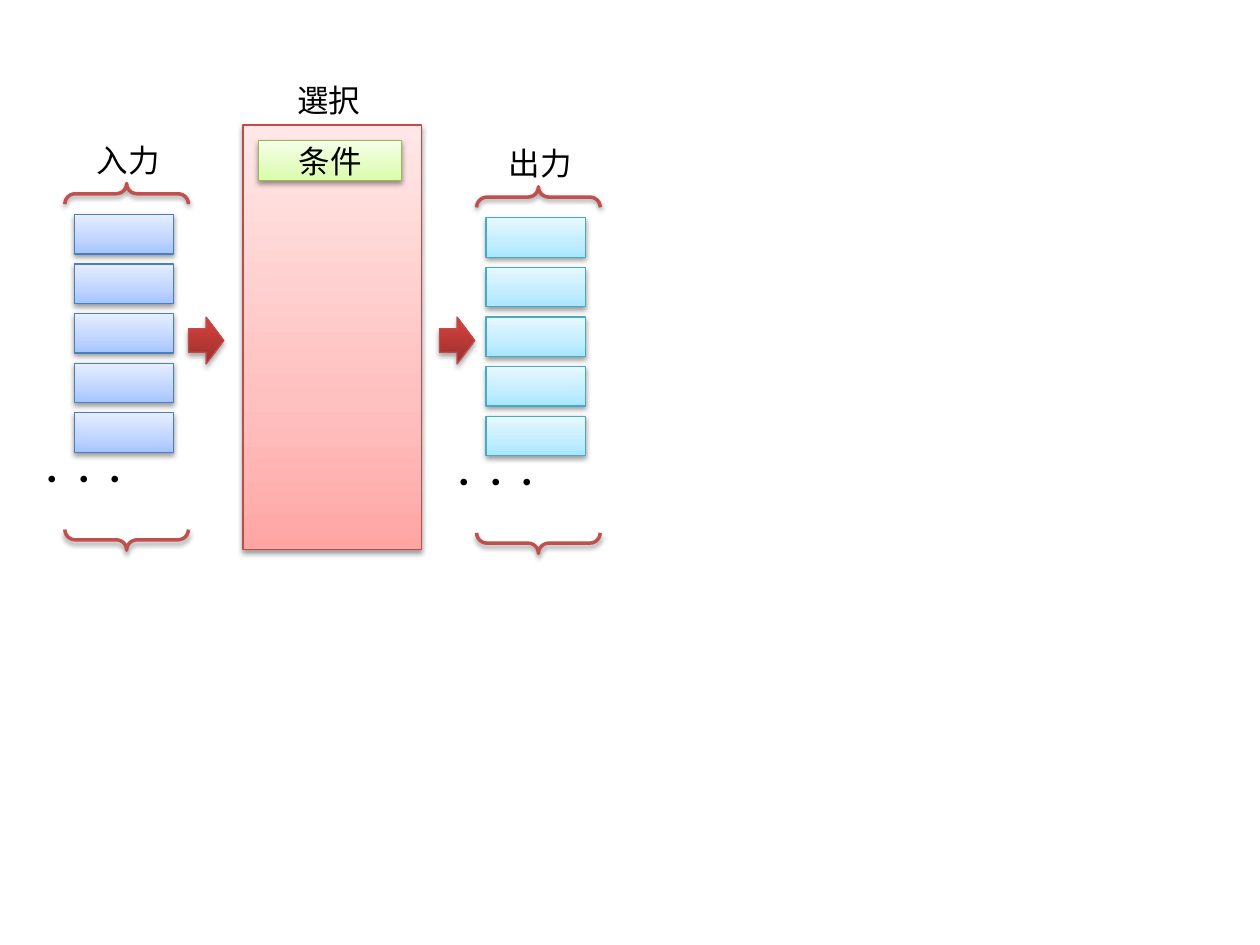
"""Builds a slide of rows that pass through a selection with a condition."""
import copy

import pptx
import pptx.dml.color
import pptx.enum.shapes
import pptx.enum.text
import pptx.oxml
import pptx.oxml.ns
import pptx.util

Pt = pptx.util.Pt
KIND = pptx.enum.shapes.MSO_SHAPE
INK = {
    "text": "000000",
    "brace": "C0504D",
    "blue": ("4B7EBC", "A4C4FF", "BFD4FF", "E6EEFF"),
    "cyan": ("46AAC5", "A7E6FF", "C1EDFF", "E7F8FF"),
    "pink": ("BF4C48", "FFA6A5", "FFC0BF", "FFE7E7"),
    "green": ("98B955", "DAFDA7", "E4FCC2", "F5FFE7"),
    "red": ("BF4C48", "9C2F2D", "CB3E3A", "CE3B37"),
}
ROWS = 5
STEP = 28.35


def tint(name):
    return pptx.dml.color.RGBColor.from_string(name)


def shade(shape, alpha=38, dist=1.6):
    shape.shadow.inherit = False
    glow = shape._element.spPr.find(pptx.oxml.ns.qn("a:effectLst"))
    glow.append(pptx.oxml.parse_xml(
        f'<a:outerShdw {pptx.oxml.ns.nsdecls("a")} blurRad="{Pt(3.1)}" '
        f'dist="{Pt(dist)}" dir="5400000" rotWithShape="0">'
        f'<a:srgbClr val="{INK["text"]}"><a:alpha val="{alpha * 1000}"/>'
        '</a:srgbClr></a:outerShdw>'))


def write(frame, text, font="Arial"):
    para = frame.paragraphs[0]
    para.text = text
    para.font.name = font
    para.font.size = Pt(18)
    para.font.color.rgb = tint(INK["text"])
    return para


def add_box(slide, kind, spot, hue, mid=0.35):
    box = slide.shapes.add_shape(kind, *map(Pt, spot))
    edge, *tones = INK[hue]
    box.fill.gradient()
    box.fill.gradient_angle = 90
    stops = box._element.spPr.find(".//" + pptx.oxml.ns.qn("a:gsLst"))
    stops.append(copy.deepcopy(stops[-1]))
    for stop, place, tone in zip(box.fill.gradient_stops, (0, mid, 1), tones):
        stop.position = place
        stop.color.rgb = tint(tone)
    box.line.color.rgb = tint(edge)
    box.line.width = Pt(0.75)
    return box


def add_brace(slide, spot):
    brace = slide.shapes.add_shape(KIND.DOUBLE_BRACE, *map(Pt, spot))
    brace.rotation = 90
    brace.fill.background()
    brace.line.color.rgb = tint(INK["brace"])
    brace.line.width = Pt(2)
    shade(brace)


def add_label(slide, text, spot):
    frame = slide.shapes.add_textbox(*map(Pt, spot)).text_frame
    frame.word_wrap = False
    frame.auto_size = pptx.enum.text.MSO_AUTO_SIZE.SHAPE_TO_FIT_TEXT
    write(frame, text)


def add_stack(slide, title, hue, left, top):
    add_brace(slide, (left - 74.9, top + 51.8, 209.5, 70.6))
    add_label(slide, title, (left + 5.8, top - 45.5, 51, 29))
    for row in range(ROWS):
        spot = (left, top + row * STEP, 56.8, 22.6)
        shade(add_box(slide, KIND.RECTANGLE, spot, hue))
    add_label(slide, "・・・", (left - 28.5, top + 136.7, 68.4, 29))


def add_arrow(slide, left):
    spot = (left, 181.2, 20.2, 26.8)
    shade(add_box(slide, KIND.RIGHT_ARROW, spot, "red", 0.8), 35, 1.8)


def main():
    deck = pptx.Presentation()
    deck.slide_width, deck.slide_height = Pt(720), Pt(540)
    slide = deck.slides.add_slide(deck.slide_layouts[6])
    add_stack(slide, "入力", "blue", 42.5, 122.5)
    add_stack(slide, "出力", "cyan", 277.8, 124.4)
    shade(add_box(slide, KIND.RECTANGLE, (138.8, 71.5, 102.2, 242.5), "pink"))
    add_label(slide, "選択", (162.8, 43, 51, 29))
    rule = add_box(slide, KIND.RECTANGLE, (147.6, 80.4, 82, 22.7), "green")
    shade(rule)
    rule.text_frame.vertical_anchor = pptx.enum.text.MSO_ANCHOR.MIDDLE
    para = write(rule.text_frame, "条件", "Noto Sans CJK JP")
    para.alignment = pptx.enum.text.PP_ALIGN.CENTER
    for left in (107.7, 251.1):
        add_arrow(slide, left)
    deck.save("out.pptx")


if __name__ == "__main__":
    main()
